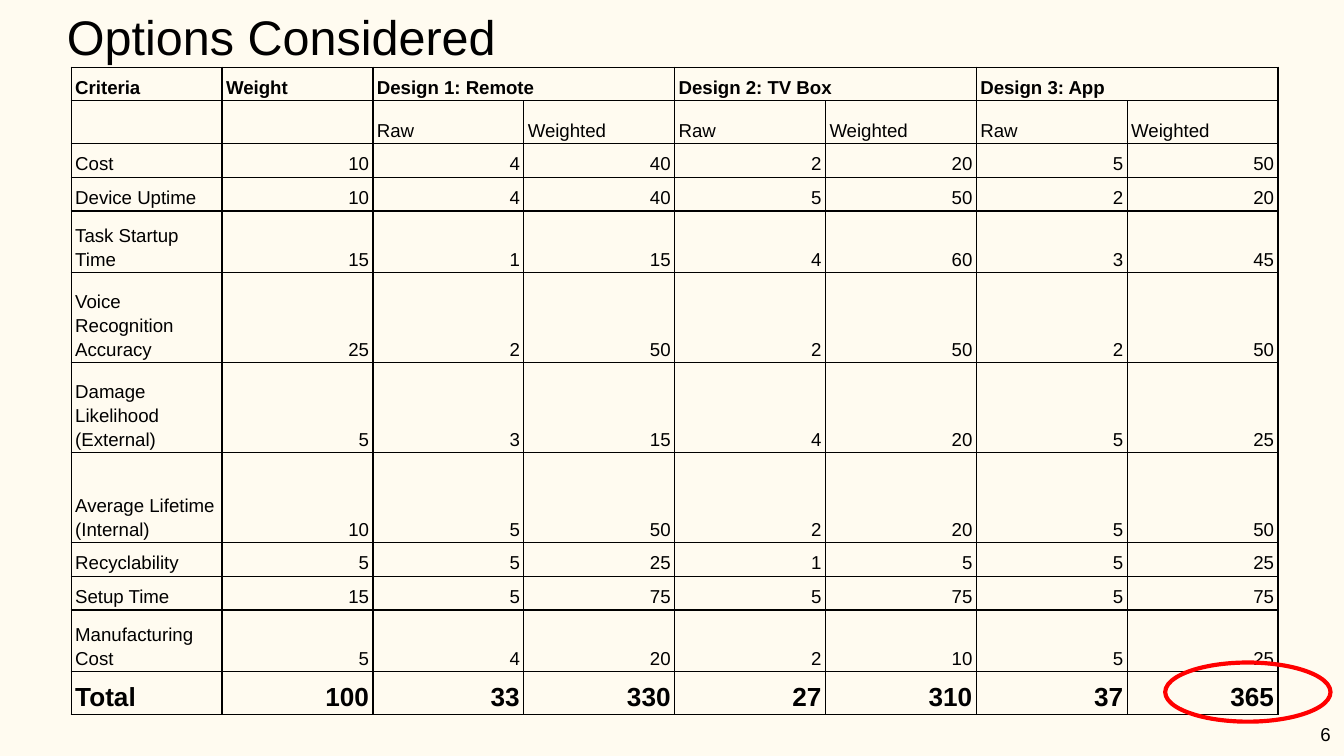
from dataclasses import dataclass
from typing import Any
from lxml.etree import SubElement
from pptx import Presentation
from pptx.dml.color import RGBColor
from pptx.enum.shapes import MSO_SHAPE
from pptx.enum.text import MSO_ANCHOR, PP_ALIGN
from pptx.oxml.ns import qn
from pptx.util import Inches, Pt

CREAM = RGBColor(0xFF, 0xFB, 0xF0)
BLACK = RGBColor(0x00, 0x00, 0x00)
RED = RGBColor(0xFF, 0x00, 0x00)

DESIGNS = ["Design 1: Remote", "Design 2: TV Box", "Design 3: App"]
CRITERIA = [
    ("Cost", 10, (4, 2, 5)),
    ("Device Uptime", 10, (4, 5, 2)),
    ("Task Startup Time", 15, (1, 4, 3)),
    ("Voice Recognition Accuracy", 25, (2, 2, 2)),
    ("Damage Likelihood (External)", 5, (3, 4, 5)),
    ("Average Lifetime (Internal)", 10, (5, 2, 5)),
    ("Recyclability", 5, (5, 1, 5)),
    ("Setup Time", 15, (5, 5, 5)),
    ("Manufacturing Cost", 5, (4, 2, 5)),
]
TABLE_WIDTH = 8.98
ROW_HEIGHTS = [0.25, 0.32, 0.25, 0.25, 0.46, 0.67, 0.67, 0.67, 0.25, 0.25, 0.46, 0.32]


def decision_rows():
    header = ["Criteria", "Weight"]
    for design in DESIGNS:
        header += [design, ""]
    scores = []
    for name, weight, raws in CRITERIA:
        row = [name, weight]
        for raw in raws:
            row += [raw, weight * raw]
        scores.append(row)
    totals = [sum(column) for column in list(zip(*scores))[1:]]
    return [header, ["", ""] + ["Raw", "Weighted"] * 3, *scores, ["Total", *totals]]


@dataclass
class SlideBuilder:
    slide: Any
    font: str = "Arial"
    color: RGBColor = BLACK

    def background(self, color):
        fill = self.slide.background.fill
        fill.solid()
        fill.fore_color.rgb = color

    def style(self, p, size, bold=False, align=PP_ALIGN.LEFT):
        p.alignment = align
        for font in [r.font for r in p.runs] or [p.font]:
            font.name = self.font
            font.size = Pt(size)
            font.bold = bold
            font.color.rgb = self.color

    def text(self, text, left, top, width, height, size,
             align=PP_ALIGN.LEFT, anchor=MSO_ANCHOR.TOP):
        s = self.slide.shapes.add_textbox(
            Inches(left), Inches(top), Inches(width), Inches(height))
        tf = s.text_frame
        tf.word_wrap = True
        tf.vertical_anchor = anchor
        tf.margin_left = tf.margin_right = Inches(0.1)
        tf.margin_top = tf.margin_bottom = Inches(0.1)
        tf.text = text
        self.style(tf.paragraphs[0], size, align=align)

    def ellipse(self, left, top, width, height, color, weight):
        s = self.slide.shapes.add_shape(
            MSO_SHAPE.OVAL, Inches(left), Inches(top), Inches(width), Inches(height))
        s.shadow.inherit = False
        s.fill.background()
        s.line.color.rgb = color
        s.line.width = Pt(weight)

    def borders(self, cell, weight):
        tc_pr = cell._tc.get_or_add_tcPr()
        for index, side in enumerate(("a:lnL", "a:lnR", "a:lnT", "a:lnB")):
            line = SubElement(tc_pr, qn(side), w=str(Pt(weight)))
            fill = SubElement(line, qn("a:solidFill"))
            SubElement(fill, qn("a:srgbClr"), val=str(self.color))
            tc_pr.insert(index, line)

    def cell(self, cell, value, size, bold):
        cell.fill.background()
        cell.vertical_anchor = MSO_ANCHOR.BOTTOM
        cell.margin_left = cell.margin_right = Inches(0.03)
        cell.margin_top = cell.margin_bottom = Inches(0.02)
        cell.text_frame.text = str(value)
        p = cell.text_frame.paragraphs[0]
        p.line_spacing = 1.15
        align = PP_ALIGN.RIGHT if isinstance(value, int) else PP_ALIGN.LEFT
        self.style(p, size, bold, align)
        self.borders(cell, 0.75)

    def table(self, rows, left, top, width, row_heights):
        cols = len(rows[0])
        frame = self.slide.shapes.add_table(
            len(rows), cols, Inches(left), Inches(top),
            Inches(width), Inches(sum(row_heights)))
        table = frame.table
        table.first_row = table.horz_banding = False
        for column in table.columns:
            column.width = Inches(width / cols)
        last = len(rows) - 1
        for i, values in enumerate(rows):
            table.rows[i].height = Inches(row_heights[i])
            for j, value in enumerate(values):
                self.cell(table.cell(i, j), value, 14 if i == last else 10, i in (0, last))
        for j in range(2, cols, 2):
            table.cell(0, j).merge(table.cell(0, j + 1))


def main():
    prs = Presentation()
    prs.slide_width = Inches(10)
    prs.slide_height = prs.slide_width * 9 // 16
    builder = SlideBuilder(prs.slides.add_slide(prs.slide_layouts[6]))
    builder.background(CREAM)
    builder.table(decision_rows(), 0.53, 0.5, TABLE_WIDTH, ROW_HEIGHTS)
    builder.text("Options Considered", 0.4, -0.05, 3.45, 0.64, 26)
    builder.ellipse(8.67, 4.93, 1.23, 0.44, RED, 2.25)
    builder.text("6", 9.4, 5.25, 0.6, 0.43, 10, PP_ALIGN.RIGHT, MSO_ANCHOR.MIDDLE)
    prs.save("out.pptx")


if __name__ == "__main__":
    main()
